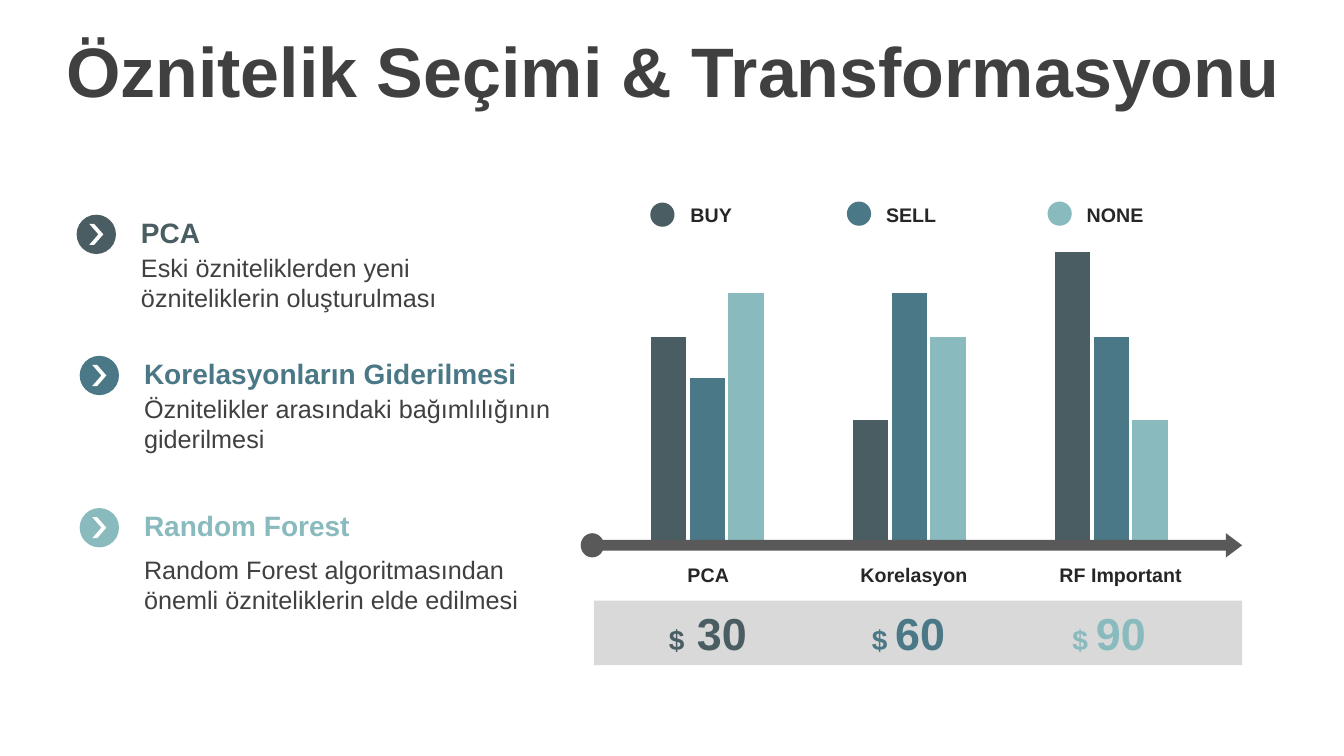
from dataclasses import dataclass

from pptx import Presentation
from pptx import util as u
from pptx.chart.data import CategoryChartData
from pptx.dml.color import RGBColor
from pptx.enum import chart as charts, shapes, text
from lxml import etree

SLATE = RGBColor(0x4A, 0x5D, 0x62)
TEAL = RGBColor(0x4A, 0x78, 0x86)
AQUA = RGBColor(0x88, 0xBA, 0xBE)
TITLE_GRAY = RGBColor(0x40, 0x40, 0x40)
LABEL_GRAY = RGBColor(0x26, 0x26, 0x26)
AXIS_GRAY = RGBColor(0x59, 0x59, 0x59)
BAND_GRAY = RGBColor(0xD9, 0xD9, 0xD9)
WHITE = RGBColor(0xFF, 0xFF, 0xFF)
BLACK = RGBColor(0, 0, 0)
FONT = "Arial"
LEFT, CENTER = text.PP_ALIGN.LEFT, text.PP_ALIGN.CENTER
MIDDLE, TOP = text.MSO_ANCHOR.MIDDLE, text.MSO_ANCHOR.TOP


@dataclass
class Topic:
    left: float
    top: float
    body_offset: float
    heading: str
    body: str
    color: RGBColor


@dataclass
class Measure:
    """One series: its legend entry and its bar heights."""
    legend: str
    dot_left: float
    dot_top: float
    label_left: float
    label_width: float
    values: tuple[int, ...]
    color: RGBColor


@dataclass
class Method:
    """One bar cluster: its label and the price beneath."""
    label: str
    left: float
    width: float
    price_left: float
    price: tuple[str, str]
    color: RGBColor


TOPICS = [
    Topic(0.76, 2.08, 0.37, "PCA",
          "Eski özniteliklerden yeni özniteliklerin oluşturulması", SLATE),
    Topic(0.79, 3.48, 0.37, "Korelasyonların Giderilmesi",
          "Öznitelikler arasındaki bağımlılığının giderilmesi", TEAL),
    Topic(0.79, 4.99, 0.46, "Random Forest",
          "Random Forest algoritmasından önemli özniteliklerin elde edilmesi", AQUA),
]
MEASURES = [
    Measure("BUY", 6.45, 2.01, 6.75, 0.84, (71, 43, 100), SLATE),
    Measure("SELL", 8.4, 2, 8.69, 0.94, (57, 86, 71), TEAL),
    Measure("NONE", 10.39, 2, 10.68, 0.94, (86, 71, 43), AQUA),
]
METHODS = [
    Method("PCA", 6.46, 1.13, 6.21, ("$", " 30"), SLATE),
    Method("Korelasyon", 8.31, 1.51, 8.2, ("$ ", "60"), TEAL),
    Method("RF Important", 10.28, 1.67, 10.19, ("$ ", "90"), AQUA),
]


def add_text(slide, left: float, top: float, width: float, height: float,
             words: str, size: float, color: RGBColor, bold: bool = True,
             align=LEFT, anchor=MIDDLE):
    """Add a one-paragraph text box and return its paragraph."""
    box = slide.shapes.add_textbox(*map(u.Inches, (left, top, width, height)))
    frame = box.text_frame
    frame.word_wrap = True
    frame.auto_size = text.MSO_AUTO_SIZE.NONE
    frame.vertical_anchor = anchor
    para = frame.paragraphs[0]
    para.alignment = align
    if words:
        para.add_run().text = words
    para.font.name = FONT
    para.font.size = u.Pt(size)
    para.font.bold = bold
    para.font.color.rgb = color
    return para


def add_filled(slide, kind, left: float, top: float, width: float, height: float,
               color: RGBColor, adjustments: tuple[float, ...] = ()) -> None:
    shape = slide.shapes.add_shape(kind, *map(u.Inches, (left, top, width, height)))
    shape.shadow.inherit = False
    shape.fill.solid()
    shape.fill.fore_color.rgb = color
    shape.line.fill.background()
    for index, value in enumerate(adjustments):
        shape.adjustments[index] = value


def set_plot_layout(chart, **fractions: float) -> None:
    """Fix the inner plot area as fractions of the chart frame."""
    area = chart._chartSpace.chart.plotArea
    namespace = etree.QName(area).namespace
    for old in area.findall(f"{{{namespace}}}layout"):
        area.remove(old)
    layout = etree.Element(f"{{{namespace}}}layout")
    manual = etree.SubElement(layout, f"{{{namespace}}}manualLayout")
    settings = {"layoutTarget": "inner", "xMode": "edge", "yMode": "edge", **fractions}
    for name, value in settings.items():
        etree.SubElement(manual, f"{{{namespace}}}{name}", val=str(value))
    area.insert(0, layout)


def add_bars(slide) -> None:
    data = CategoryChartData()
    data.categories = ["1", "2", "3"]
    for number, measure in enumerate(MEASURES, 1):
        data.add_series(f"Series {number}", measure.values)
    chart = slide.shapes.add_chart(
        charts.XL_CHART_TYPE.COLUMN_CLUSTERED,
        *map(u.Inches, (5.89, 2.01, 6.26, 3.48)), data).chart
    chart.has_legend = False
    chart.has_title = False
    chart.font.name = FONT
    chart.font.size = u.Pt(10)
    chart.font.color.rgb = BLACK
    chart.value_axis.minimum_scale = 0
    chart.value_axis.maximum_scale = 100
    chart.value_axis.has_major_gridlines = False
    chart.value_axis.visible = False
    chart.category_axis.visible = False
    plot = chart.plots[0]
    plot.gap_width = 250
    plot.overlap = -9
    plot.vary_by_categories = False
    for series, measure in zip(plot.series, MEASURES):
        series.format.fill.solid()
        series.format.fill.fore_color.rgb = measure.color
    set_plot_layout(chart, x=0.02, y=0.14, w=0.96, h=0.84)


def add_legend_entry(slide, measure: Measure) -> None:
    add_filled(slide, shapes.MSO_SHAPE.OVAL, measure.dot_left, measure.dot_top,
               0.24, 0.24, measure.color)
    add_text(slide, measure.label_left, 1.96, measure.label_width, 0.34,
             measure.legend, 14, LABEL_GRAY)


def add_method(slide, method: Method) -> None:
    add_text(slide, method.left, 5.53, method.width, 0.34, method.label, 14,
             LABEL_GRAY, align=CENTER)
    para = add_text(slide, method.price_left, 5.96, 1.62, 0.64, "", 32,
                    method.color, align=CENTER)
    for words, size in zip(method.price, (20, 32)):
        span = para.add_run()
        span.text = words
        span.font.size = u.Pt(size)


def add_topic(slide, topic: Topic) -> None:
    add_filled(slide, shapes.MSO_SHAPE.OVAL, topic.left, topic.top + 0.05,
               0.39, 0.39, topic.color)
    add_filled(slide, shapes.MSO_SHAPE.CHEVRON, topic.left + 0.125, topic.top + 0.14,
               0.14, 0.21, WHITE, (0.652,))
    text_left = topic.left + 0.54
    add_text(slide, text_left, topic.top, 4.25, 0.44, topic.heading, 20, topic.color)
    add_text(slide, text_left, topic.top + topic.body_offset, 4.25, 0.71,
             topic.body, 18, TITLE_GRAY, bold=False, anchor=TOP)


def main() -> None:
    deck = Presentation()
    deck.slide_width, deck.slide_height = u.Inches(13.33), u.Inches(7.5)
    page = deck.slides.add_slide(deck.slide_layouts[6])
    title = add_text(page, 0.35, 0.37, 12.66, 0.79, "Öznitelik Seçimi & Transformasyonu",
                     50, TITLE_GRAY, align=CENTER)
    title.line_spacing = 0.8
    add_bars(page)
    add_filled(page, shapes.MSO_SHAPE.RIGHT_ARROW, 5.91, 5.29, 6.41, 0.24,
               AXIS_GRAY, (0.451, 0.666))
    add_filled(page, shapes.MSO_SHAPE.OVAL, 5.76, 5.29, 0.23, 0.24, AXIS_GRAY)
    for measure in MEASURES:
        add_legend_entry(page, measure)
    add_filled(page, shapes.MSO_SHAPE.RECTANGLE, 5.89, 5.96, 6.43, 0.64, BAND_GRAY)
    for method in METHODS:
        add_method(page, method)
    for topic in TOPICS:
        add_topic(page, topic)
    deck.save("out.pptx")


if __name__ == "__main__":
    main()
